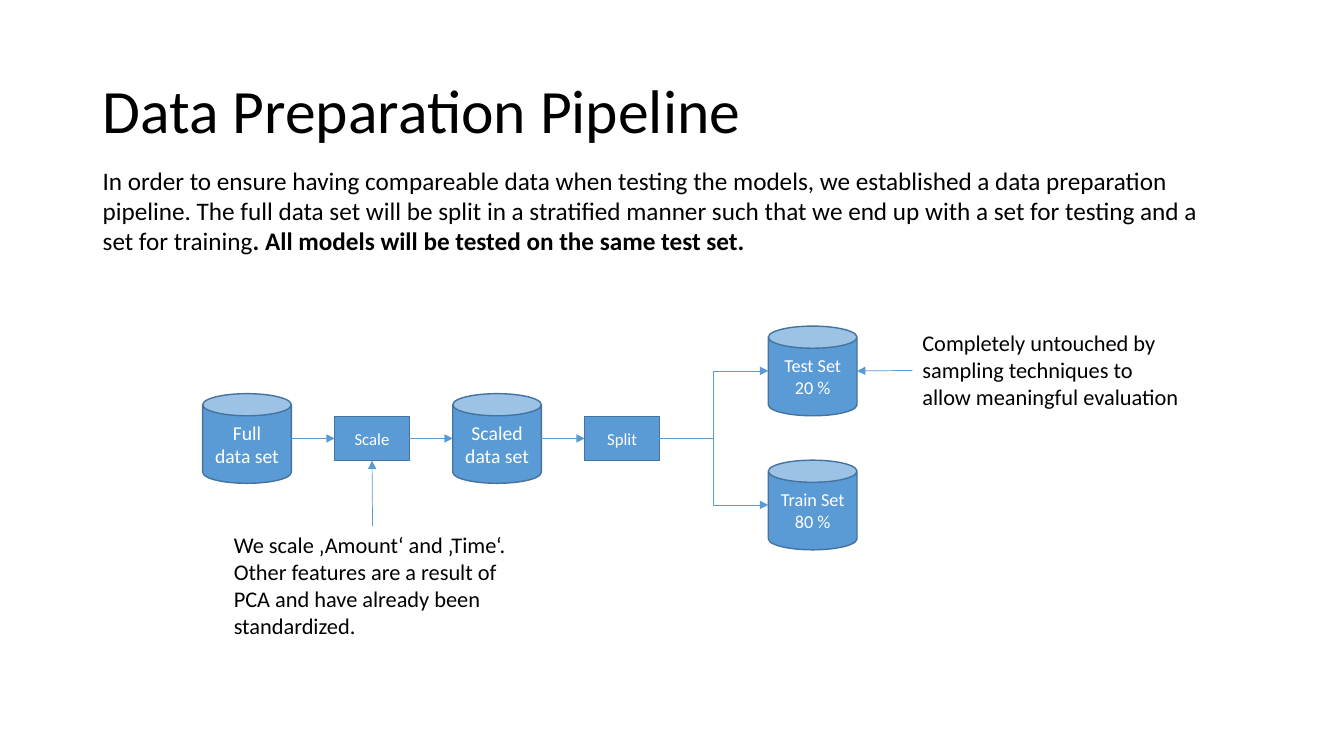
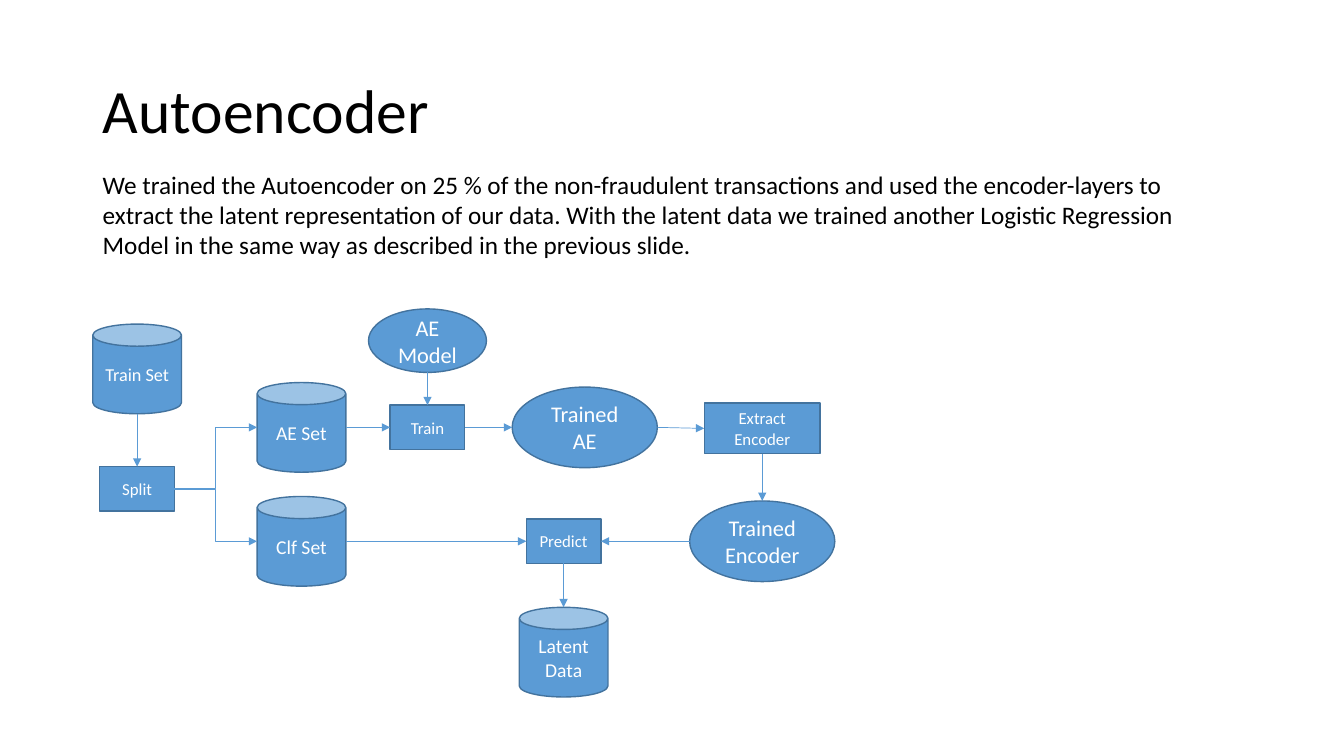
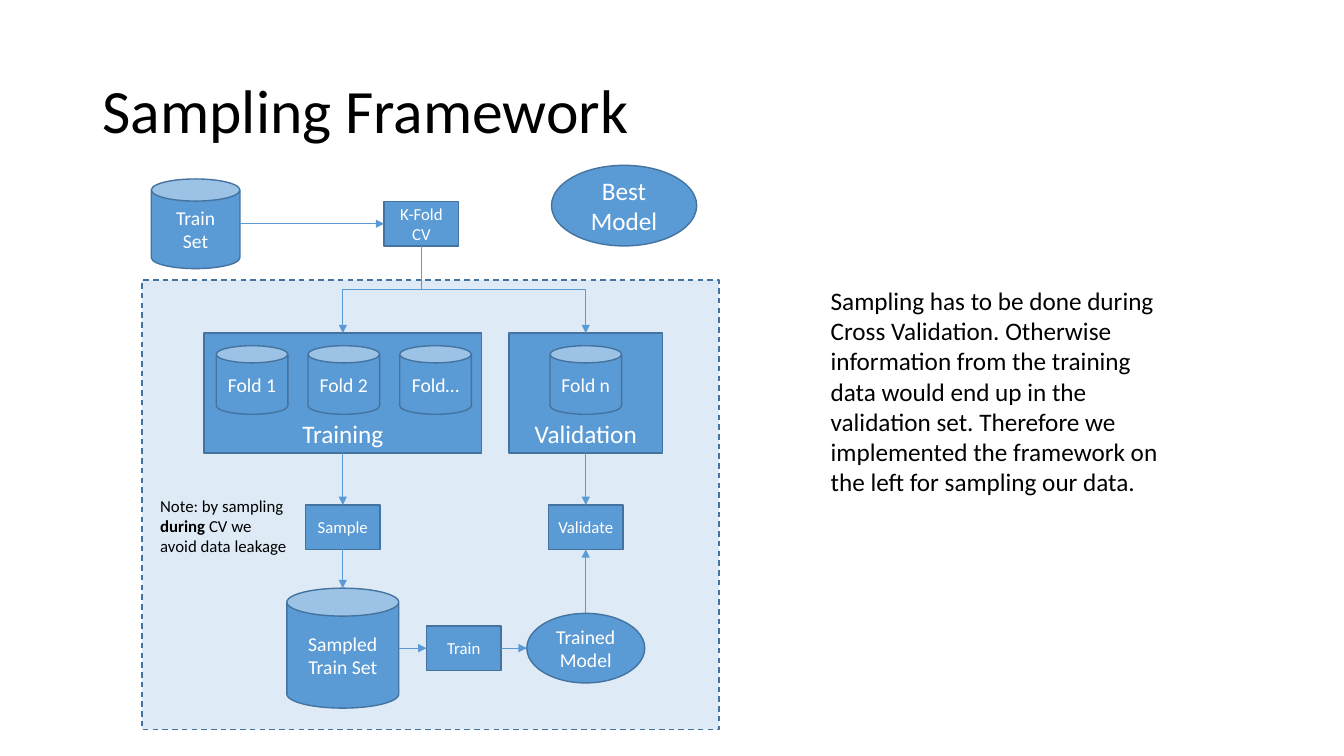
from typing import NamedTuple, Optional

from lxml.etree import SubElement
from pptx import Presentation
from pptx.dml.color import RGBColor
from pptx.enum.dml import MSO_LINE
from pptx.enum.shapes import MSO_CONNECTOR, MSO_SHAPE
from pptx.enum.text import MSO_ANCHOR, PP_ALIGN
from pptx.oxml.ns import qn
from pptx.util import Inches, Pt


class Theme:
    font = "Calibri"
    text = RGBColor.from_string("000000")
    on_fill = RGBColor.from_string("FFFFFF")
    fill = RGBColor.from_string("5B9BD5")
    outline = RGBColor.from_string("43739E")
    pale = RGBColor.from_string("DEEBF7")
    title_pt, body_pt, note_pt, small_pt = 44, 18, 16, 12
    outline_pt, link_pt = 1, 0.5
    node_margin = 0.08


class Kind(NamedTuple):
    shape: int
    size: tuple
    pt: int
    anchor: int = MSO_ANCHOR.MIDDLE


class Node(NamedTuple):
    key: str
    kind: str
    x: float
    y: float
    text: str
    pt: Optional[int] = None
    size: Optional[tuple] = None


class Note(NamedTuple):
    key: str
    box: tuple
    runs: list
    pt: int = Theme.body_pt


KINDS = {
    "store": Kind(MSO_SHAPE.CAN, (0.88, 0.89), 14),
    "fold": Kind(MSO_SHAPE.CAN, (0.71, 0.68), 14),
    "step": Kind(MSO_SHAPE.RECTANGLE, (0.74, 0.44), 12),
    "model": Kind(MSO_SHAPE.OVAL, (1.44, 0.8), 16),
    "panel": Kind(MSO_SHAPE.RECTANGLE, (1.52, 1.19), 18, MSO_ANCHOR.BOTTOM),
}
SIDES = {"n": (0.5, 0), "s": (0.5, 1), "w": (0, 0.5), "e": (1, 0.5)}
TITLE_BOX = (0.92, 0.4, 11.5, 1.45)

FLOW_X, FLOW_STEP, FLOW_Y = 2.45, 1.24, 4.35
SPLIT_X = 8.06
AE_Y, CLF_Y = 4.24, 5.37
TRAIN_X, VALID_X, FIT_Y = 3.4, 5.81, 6.43
FOLD_X, FOLD_STEP, FOLD_Y = 2.5, 0.91, 3.77

PREPARATION = dict(
    title="Data Preparation Pipeline",
    nodes=[
        Node("full", "store", FLOW_X, FLOW_Y, "Full\ndata set"),
        Node("scale", "step", FLOW_X + FLOW_STEP, FLOW_Y, "Scale"),
        Node("scaled", "store", FLOW_X + 2 * FLOW_STEP, FLOW_Y, "Scaled\ndata set"),
        Node("split", "step", FLOW_X + 3 * FLOW_STEP, FLOW_Y, "Split"),
        Node("test", "store", SPLIT_X, 3.68, "Test Set\n20 %", 13),
        Node("train", "store", SPLIT_X, 5.01, "Train Set\n80 %", 13),
    ],
    notes=[
        Note("untouched", (9.05, 3.22, 2.76, 0.91),
             [("Completely untouched by sampling techniques to allow meaningful evaluation", False)],
             Theme.note_pt),
        Note("scaling", (2.22, 5.22, 2.95, 1.18),
             [("We scale ‚Amount‘ and ‚Time‘. Other features are a result of PCA "
               "and have already been standardized.", False)], Theme.note_pt),
        Note("intro", (0.92, 1.59, 11.16, 1.01),
             [("In order to ensure having compareable data when testing the models, we established "
               "a data preparation pipeline. The full data set will be split in a stratified manner "
               "such that we end up with a set for testing and a set for training", False),
              (". All models will be tested on the same test set.", True)]),
    ],
    links=["full e scale w", "scale e scaled w", "scaled e split w", "split e test w",
           "split e train w", "scaling n scale s", "untouched w test e"],
)

AUTOENCODER = dict(
    title="Autoencoder",
    nodes=[
        Node("train_set", "store", 1.36, 3.66, "Train Set", 13),
        Node("split", "step", 1.36, 4.85, "Split"),
        Node("ae_set", "store", 2.99, AE_Y, "AE Set"),
        Node("clf_set", "store", 2.99, CLF_Y, "Clf Set"),
        Node("ae_model", "model", 4.24, 3.38, "AE Model", size=(1.17, 0.63)),
        Node("train", "step", 4.24, AE_Y, "Train"),
        Node("trained_ae", "model", 5.8, AE_Y, "Trained AE"),
        Node("extract", "step", 7.56, 4.25, "Extract Encoder", size=(1.15, 0.5)),
        Node("encoder", "model", 7.56, CLF_Y, "Trained Encoder"),
        Node("predict", "step", 5.59, CLF_Y, "Predict"),
        Node("latent", "store", 5.59, 6.47, "Latent\nData"),
    ],
    notes=[
        Note("intro", (0.92, 1.63, 10.88, 1.01),
             [("We trained the Autoencoder on 25 % of the non-fraudulent transactions and used the "
               "encoder-layers to extract the latent representation of our data. With the latent "
               "data we trained another Logistic Regression Model in the same way as described in "
               "the previous slide.", False)]),
    ],
    links=["train_set s split n", "split e ae_set w", "split e clf_set w", "ae_set e train w",
           "ae_model s train n", "train e trained_ae w", "trained_ae e extract w",
           "extract s encoder n", "encoder w predict e", "clf_set e predict w",
           "predict s latent n"],
)

SAMPLING = dict(
    title="Sampling Framework",
    frame=(1.41, 2.78, 5.72, 4.46),
    nodes=[
        Node("train_set", "store", 1.94, 2.22, "Train\nSet"),
        Node("cv", "step", 4.18, 2.22, "K-Fold CV"),
        Node("best", "model", 6.19, 2.04, "Best Model", 18),
        Node("validation", "panel", VALID_X, 3.9, "Validation"),
        Node("training", "panel", TRAIN_X, 3.9, "Training", size=(2.75, 1.19)),
        *[Node(text, "fold", FOLD_X + i * FOLD_STEP, FOLD_Y, text)
          for i, text in enumerate(["Fold 1", "Fold 2", "Fold…"])],
        Node("Fold n", "fold", VALID_X, FOLD_Y, "Fold n"),
        Node("sample", "step", TRAIN_X, 5.23, "Sample"),
        Node("validate", "step", VALID_X, 5.23, "Validate"),
        Node("sampled", "store", TRAIN_X, FIT_Y, "Sampled Train Set", size=(1.11, 1.19)),
        Node("train", "step", 4.6, FIT_Y, "Train"),
        Node("trained", "model", VALID_X, FIT_Y, "Trained Model", 14, (1.17, 0.69)),
    ],
    notes=[
        Note("leakage", (1.49, 4.87, 1.5, 0.71),
             [("Note: by sampling ", False), ("during", True),
              (" CV we avoid data leakage", False)], Theme.small_pt),
        Note("reason", (8.14, 2.78, 3.61, 2.22),
             [("Sampling has to be done during Cross Validation. Otherwise information from the "
               "training data would end up in the validation set. Therefore we implemented the "
               "framework on the left for sampling our data.", False)]),
    ],
    links=["train_set e cv w", "cv s training n", "cv s validation n", "training s sample n",
           "validation s validate n", "sample s sampled n", "sampled e train w",
           "train e trained w", "trained n validate s"],
)


def inches(values):
    return [Inches(v) for v in values]


def add_run(p, text, pt, color, bold=False):
    r = p.add_run()
    r.text = text
    r.font.name, r.font.size, r.font.bold = Theme.font, Pt(pt), bold
    r.font.color.rgb = color


def add_text(s, box, runs, pt, anchor=MSO_ANCHOR.TOP, spacing=1.0):
    tf = s.shapes.add_textbox(*inches(box)).text_frame
    tf.word_wrap = True
    tf.vertical_anchor = anchor
    p = tf.paragraphs[0]
    p.line_spacing = spacing
    for text, bold in runs:
        add_run(p, text, pt, Theme.text, bold)


def add_block(s, shape, box, fill):
    sp = s.shapes.add_shape(shape, *inches(box))
    sp.shadow.inherit = False
    sp.fill.solid()
    sp.fill.fore_color.rgb = fill
    sp.line.color.rgb = Theme.outline
    sp.line.width = Pt(Theme.outline_pt)
    return sp


def add_node(s, node):
    kind = KINDS[node.kind]
    w, h = node.size or kind.size
    box = (node.x - w / 2, node.y - h / 2, w, h)
    tf = add_block(s, kind.shape, box, Theme.fill).text_frame
    tf.word_wrap = True
    tf.margin_left = tf.margin_right = Inches(Theme.node_margin)
    tf.vertical_anchor = kind.anchor
    p = tf.paragraphs[0]
    p.alignment = PP_ALIGN.CENTER
    for i, line in enumerate(node.text.split("\n")):
        if i:
            p.add_line_break()
        add_run(p, line, node.pt or kind.pt, Theme.on_fill)
    return box


def side_point(box, side):
    left, top, w, h = box
    across, down = SIDES[side]
    return left + across * w, top + down * h


def add_link(s, boxes, link):
    start, start_side, end, end_side = link.split()
    x1, y1 = side_point(boxes[start], start_side)
    x2, y2 = side_point(boxes[end], end_side)
    dx, dy = x2 - x1, y2 - y1
    bent = min(abs(dx), abs(dy)) > 0.05
    turned = bent and start_side in "ns"
    if turned:
        cx, cy = (x1 + x2) / 2, (y1 + y2) / 2
        x1, y1, x2, y2 = cx - dy / 2, cy + dx / 2, cx + dy / 2, cy - dx / 2
    style = MSO_CONNECTOR.ELBOW if bent else MSO_CONNECTOR.STRAIGHT
    con = s.shapes.add_connector(style, *inches((x1, y1, x2, y2)))
    con.line.color.rgb = Theme.fill
    con.line.width = Pt(Theme.link_pt)
    props = con._element.spPr
    if turned:
        props.find(qn("a:xfrm")).set("rot", "5400000")
    SubElement(props.find(qn("a:ln")), qn("a:tailEnd"), type="triangle")
    SubElement(props, qn("a:effectLst"))


def add_slide(prs, title, nodes, notes, links, frame=None):
    s = prs.slides.add_slide(prs.slide_layouts[6])
    if frame:
        add_block(s, MSO_SHAPE.RECTANGLE, frame, Theme.pale).line.dash_style = MSO_LINE.DASH
    add_text(s, TITLE_BOX, [(title, False)], Theme.title_pt, MSO_ANCHOR.MIDDLE, 0.9)
    boxes = {node.key: add_node(s, node) for node in nodes}
    for note in notes:
        add_text(s, note.box, note.runs, note.pt)
        boxes[note.key] = note.box
    for link in links:
        add_link(s, boxes, link)


def main():
    prs = Presentation()
    prs.slide_width, prs.slide_height = inches((13.33, 7.5))
    for content in (PREPARATION, AUTOENCODER, SAMPLING):
        add_slide(prs, **content)
    prs.save("out.pptx")


if __name__ == "__main__":
    main()
